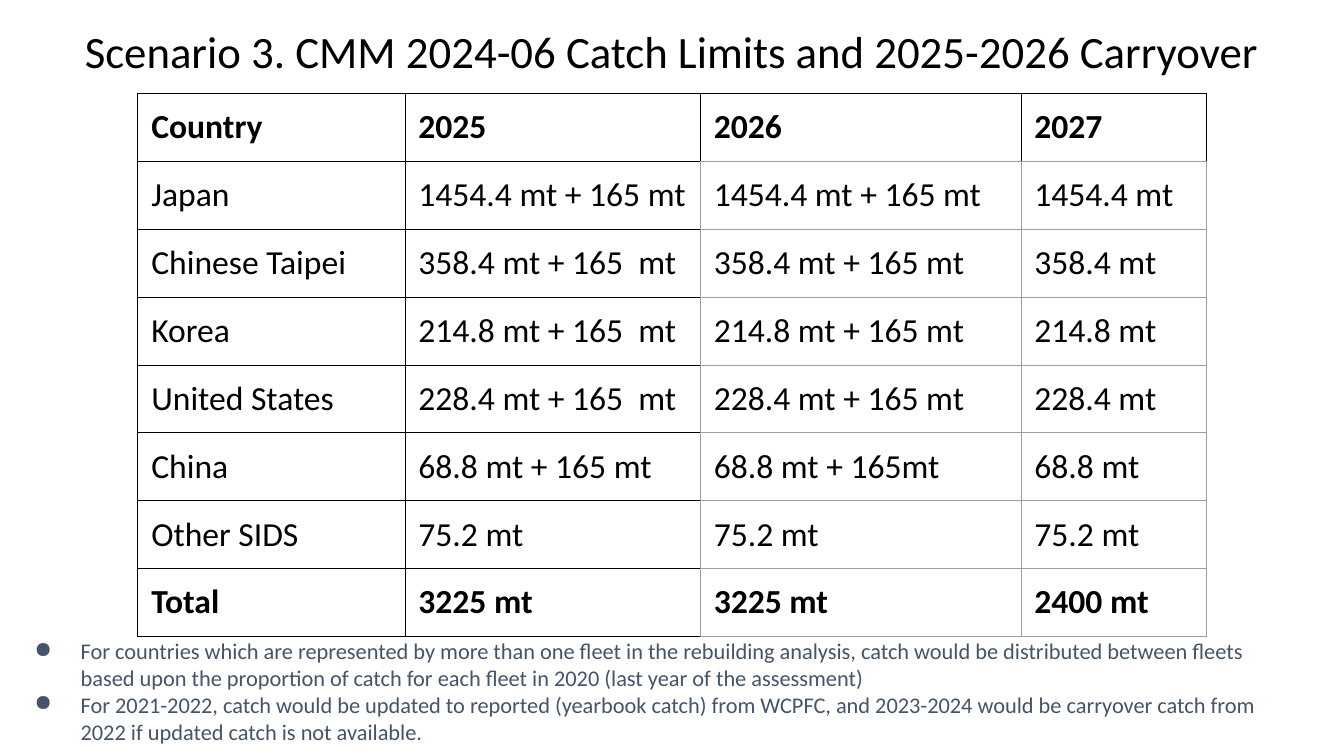
from lxml import etree
from pptx import Presentation
from pptx.dml.color import RGBColor
from pptx.enum.text import MSO_ANCHOR, MSO_AUTO_SIZE, PP_ALIGN
from pptx.oxml.ns import qn
from pptx.util import Pt

TOP = MSO_ANCHOR.TOP
NO_AUTOFIT = MSO_AUTO_SIZE.NONE
CENTER = PP_ALIGN.CENTER
TITLE_ONLY = 5

COLORS = {"text": "000000", "note": "44546A", "grid": "9E9E9E", "paper": "FFFFFF"}
FONT = "Calibri"
INSET = Pt(9.6)

TITLE = "Scenario 3. CMM 2024-06 Catch Limits and 2025-2026 Carryover"
CATCH_LIMITS = [
    ("Country", "2025", "2026", "2027"),
    ("Japan", "1454.4 mt + 165 mt", "1454.4 mt + 165 mt", "1454.4 mt"),
    ("Chinese Taipei", "358.4 mt + 165  mt", "358.4 mt + 165 mt", "358.4 mt"),
    ("Korea", "214.8 mt + 165  mt", "214.8 mt + 165 mt", "214.8 mt"),
    ("United States", "228.4 mt + 165  mt", "228.4 mt + 165 mt", "228.4 mt"),
    ("China", "68.8 mt + 165 mt", "68.8 mt + 165mt", "68.8 mt"),
    ("Other SIDS", "75.2 mt", "75.2 mt", "75.2 mt"),
    ("Total", "3225 mt", "3225 mt", "2400 mt"),
]
COLUMN_WIDTHS = (190.8, 211, 229, 132.4)
ROW_HEIGHT = 48.4
NOTES = [
    "For countries which are represented by more than one fleet in the rebuilding "
    "analysis, catch would be distributed between fleets based upon the proportion "
    "of catch for each fleet in 2020 (last year of the assessment)",
    "For 2021-2022, catch would be updated to reported (yearbook catch) from WCPFC, "
    "and 2023-2024 would be carryover catch from 2022 if updated catch is not available.",
]


def rgb(name):
    return RGBColor.from_string(COLORS[name])


def style_font(paragraph, size, color, bold=False):
    font = paragraph.font
    font.name, font.size, font.bold = FONT, Pt(size), bold
    font.color.rgb = rgb(color)


def set_insets(holder):
    """Apply the common margins to a text frame or a table cell."""
    holder.margin_left = holder.margin_right = INSET
    holder.margin_top = holder.margin_bottom = INSET


def add_title(slide):
    title = slide.shapes.title
    title.left, title.top, title.width, title.height = Pt(0), Pt(11.5), Pt(960), Pt(60.5)
    frame = title.text_frame
    frame.text = TITLE
    frame.word_wrap = True
    frame.auto_size = NO_AUTOFIT
    frame.vertical_anchor = TOP
    set_insets(frame)
    heading = frame.paragraphs[0]
    heading.alignment = CENTER
    heading.line_spacing = 0.9
    style_font(heading, 32, "text")


def edge_colors(row, column):
    """Edges of the projected-year limits are grey, all others black."""
    projected = row > 0 and column > 1
    grey = {
        "lnL": projected,
        "lnR": projected or (row > 0 and column == 1),
        "lnT": projected,
        "lnB": projected or (row == 0 and column > 1),
    }
    return {edge: COLORS["grid" if is_grey else "text"] for edge, is_grey in grey.items()}


def set_borders(cell, edges):
    properties = cell._tc.get_or_add_tcPr()
    for edge, color in edges.items():
        line = etree.SubElement(properties, qn(f"a:{edge}"), w=str(Pt(0.75)))
        fill = etree.SubElement(line, qn("a:solidFill"))
        etree.SubElement(fill, qn("a:srgbClr"), val=color)


def add_limits_table(slide):
    row_count = len(CATCH_LIMITS)
    table = slide.shapes.add_table(
        row_count, len(COLUMN_WIDTHS), Pt(98.5), Pt(66.8),
        Pt(sum(COLUMN_WIDTHS)), Pt(ROW_HEIGHT * row_count),
    ).table
    table.horz_banding = False
    for column, width in zip(table.columns, COLUMN_WIDTHS):
        column.width = Pt(width)
    for r, limits in enumerate(CATCH_LIMITS):
        table.rows[r].height = Pt(ROW_HEIGHT)
        for c, limit in enumerate(limits):
            cell = table.cell(r, c)
            cell.text = limit
            set_insets(cell)
            cell.vertical_anchor = TOP
            set_borders(cell, edge_colors(r, c))
            cell.fill.solid()
            cell.fill.fore_color.rgb = rgb("paper")
            style_font(cell.text_frame.paragraphs[0], 24, "text", r in (0, row_count - 1))


def add_bullet(paragraph):
    properties = paragraph._p.get_or_add_pPr()
    properties.set("marL", str(Pt(48)))
    properties.set("indent", str(Pt(-33)))
    bullet_color = etree.SubElement(properties, qn("a:buClr"))
    etree.SubElement(bullet_color, qn("a:srgbClr"), val=COLORS["note"])
    etree.SubElement(properties, qn("a:buChar"), char="●")


def add_notes_box(slide):
    frame = slide.shapes.add_textbox(Pt(0), Pt(445.7), Pt(934), Pt(88.5)).text_frame
    frame.word_wrap = True
    frame.vertical_anchor = TOP
    set_insets(frame)
    for i, note in enumerate(NOTES):
        paragraph = frame.add_paragraph() if i else frame.paragraphs[0]
        paragraph.text = note
        add_bullet(paragraph)
        style_font(paragraph, 16, "note")


def main():
    deck = Presentation()
    deck.slide_width, deck.slide_height = Pt(960), Pt(540)
    slide = deck.slides.add_slide(deck.slide_layouts[TITLE_ONLY])
    add_title(slide)
    add_limits_table(slide)
    add_notes_box(slide)
    deck.save("out.pptx")


if __name__ == "__main__":
    main()
